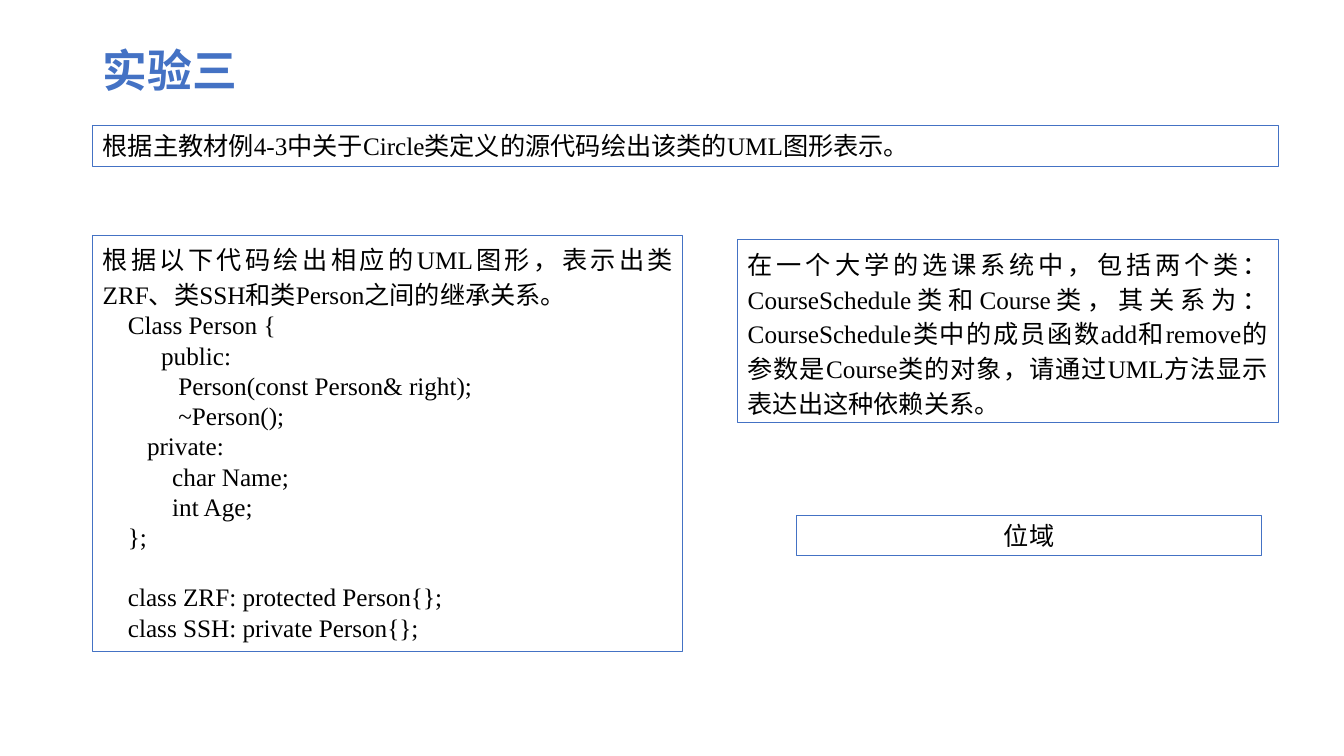
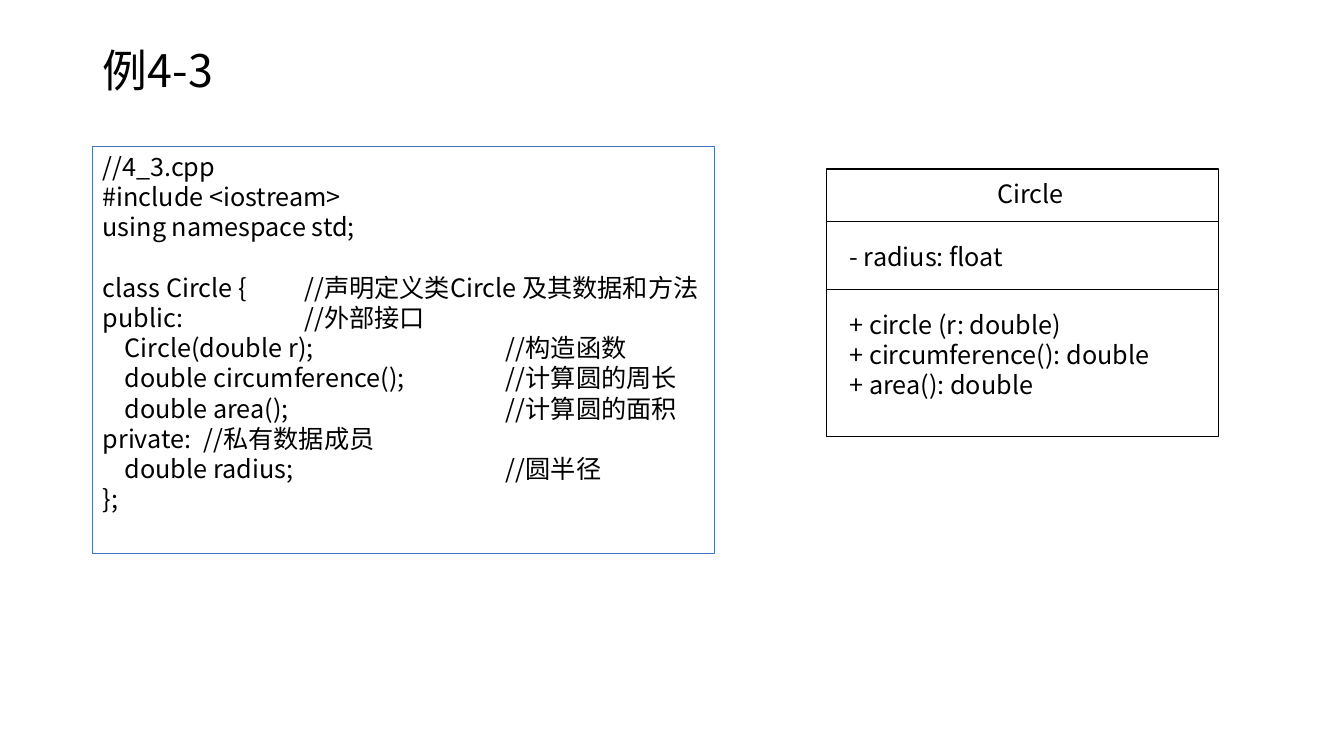
from dataclasses import dataclass

from lxml.etree import SubElement
from pptx import Presentation
from pptx.dml.color import RGBColor
from pptx.enum.shapes import MSO_CONNECTOR as Connector, MSO_SHAPE as Preset
from pptx.enum.text import MSO_ANCHOR as Anchor, MSO_AUTO_SIZE as AutoSize, PP_ALIGN as Align
from pptx.oxml.ns import qn
from pptx.presentation import Presentation as Deck
from pptx.shapes.base import BaseShape
from pptx.slide import Slide
from pptx.text.text import TextFrame
from pptx.util import Inches, Pt


@dataclass(frozen=True)
class Theme:
    accent: RGBColor = RGBColor(0x44, 0x72, 0xC4)
    ink: RGBColor = RGBColor(0, 0, 0)
    sans: str = "Noto Sans CJK SC"
    serif: str = "Times New Roman"
    title_size: int = 32
    body_size: int = 18
    blank_line: float = 21.6
    panel_line: float = 0.75
    frame_line: float = 1
    divider_line: float = 0.5


@dataclass(frozen=True)
class Area:
    """Percentages of the slide's width and height."""
    left: float
    top: float
    width: float
    height: float


@dataclass(frozen=True)
class Line:
    text: str
    indent: float = 0
    tab: float = 1
    spacing: float = 1
    before: float = 0


@dataclass(frozen=True)
class Panel:
    area: Area
    lines: list[Line]
    font: str
    align: Align = Align.LEFT
    outlined: bool = True


THEME = Theme()
WIDTH, HEIGHT = Inches(13.333), Inches(7.5)
MARGIN = 6.9
TITLE_AREA = Area(MARGIN, 0, 86.25, 19.33)
ROW = 5.37


def across(share: float) -> int:
    return round(WIDTH * share / 100)


def down(share: float) -> int:
    return round(HEIGHT * share / 100)


def bounds(area: Area) -> tuple[int, int, int, int]:
    return across(area.left), down(area.top), across(area.width), down(area.height)


def apply(target: object, values: dict[str, object]) -> None:
    for name, value in values.items():
        setattr(target, name, value)


def write_lines(frame: TextFrame, lines: list[Line], align: Align, face: str,
                size: float, color: RGBColor, bold: bool = False) -> None:
    for index, line in enumerate(lines):
        paragraph = frame.add_paragraph() if index else frame.paragraphs[0]
        apply(paragraph, {"alignment": align, "line_spacing": line.spacing,
                          "space_before": Pt(line.before)})
        properties = paragraph._p.get_or_add_pPr()
        lengths = {"marL": 0, "indent": line.indent, "defTabSz": line.tab}
        for name, length in lengths.items():
            properties.set(name, str(Inches(length)))
        run = paragraph.add_run()
        run.text = line.text
        apply(run.font, {"name": face, "size": Pt(size), "bold": bold})
        run.font.color.rgb = color
        SubElement(run._r.get_or_add_rPr(), qn("a:ea"), typeface=THEME.sans)


def add_titled_slide(presentation: Deck, title: str, color: RGBColor, bold: bool) -> Slide:
    slide = presentation.slides.add_slide(presentation.slide_layouts[5])
    placeholder = slide.shapes.title
    apply(placeholder, dict(zip(("left", "top", "width", "height"), bounds(TITLE_AREA))))
    frame = placeholder.text_frame
    apply(frame, {"vertical_anchor": Anchor.MIDDLE, "auto_size": AutoSize.NONE})
    write_lines(frame, [Line(title, spacing=0.9)], Align.LEFT, THEME.sans,
                THEME.title_size, color, bold)
    return slide


def add_outline(slide: Slide, area: Area, color: RGBColor, width: float) -> BaseShape:
    shape = slide.shapes.add_shape(Preset.RECTANGLE, *bounds(area))
    shape.shadow.inherit = False
    shape.fill.background()
    shape.line.color.rgb = color
    shape.line.width = Pt(width)
    return shape


def add_panel(slide: Slide, panel: Panel) -> None:
    if panel.outlined:
        shape = add_outline(slide, panel.area, THEME.accent, THEME.panel_line)
    else:
        shape = slide.shapes.add_textbox(*bounds(panel.area))
    apply(shape.text_frame, {"word_wrap": True, "vertical_anchor": Anchor.TOP,
                             "auto_size": AutoSize.SHAPE_TO_FIT_TEXT})
    write_lines(shape.text_frame, panel.lines, panel.align, panel.font,
                THEME.body_size, THEME.ink)


def add_divider(slide: Slide, area: Area, top: float) -> None:
    divider = slide.shapes.add_connector(
        Connector.STRAIGHT, across(area.left), down(top),
        across(area.left + area.width), down(top))
    divider.line.color.rgb = THEME.ink
    divider.line.width = Pt(THEME.divider_line)
    SubElement(divider._element.spPr, qn("a:effectLst"))


def build_exercises(presentation: Deck) -> None:
    slide = add_titled_slide(presentation, "实验三", THEME.accent, True)
    inheritance = [
        Line("根据以下代码绘出相应的UML图形，表示出类ZRF、类SSH和类Person之间的继承关系。", spacing=1.15),
        Line("Class Person {", 0.25),
        Line("public:", 0.58),
        Line("Person(const Person& right);", 0.75),
        Line("~Person();", 0.75),
        Line("private:", 0.44),
        Line("char Name;", 0.69),
        Line("int Age;", 0.69),
        Line("};", 0.25),
        Line("class ZRF: protected Person{};", 0.25, before=THEME.blank_line),
        Line("class SSH: private Person{};", 0.25),
    ]
    dependency = ("在一个大学的选课系统中，包括两个类：CourseSchedule类和Course类，其关系为："
                  "CourseSchedule类中的成员函数add和remove的参数是Course类的对象，"
                  "请通过UML方法显示表达出这种依赖关系。")
    panels = [
        Panel(Area(MARGIN, 16.6, 88.2, ROW),
              [Line("根据主教材例4-3中关于Circle类定义的源代码绘出该类的UML图形表示。")], THEME.serif),
        Panel(Area(MARGIN, 31.1, 43.9, 55.07), inheritance, THEME.serif, Align.JUSTIFY),
        Panel(Area(54.9, 31.7, 40.2, 24.13), [Line(dependency, spacing=1.15)],
              THEME.serif, Align.JUSTIFY),
        Panel(Area(59.25, 68.13, 34.65, ROW), [Line("位域")], THEME.sans, Align.CENTER),
    ]
    for panel in panels:
        add_panel(slide, panel)


def build_circle_example(presentation: Deck) -> None:
    slide = add_titled_slide(presentation, "例4-3", THEME.ink, False)
    source_code = [
        Line("//4_3.cpp"),
        Line("#include <iostream>"),
        Line("using namespace std;"),
        Line("class Circle {\t//声明定义类Circle 及其数据和方法", tab=2, before=THEME.blank_line),
        Line("public:\t//外部接口", tab=2),
        Line("Circle(double r);\t//构造函数", 0.22, 4),
        Line("double circumference();\t//计算圆的周长", 0.22, 4),
        Line("double area();\t//计算圆的面积", 0.22, 4),
        Line("private:\t//私有数据成员"),
        Line("double radius;\t//圆半径", 0.22, 4),
        Line("};"),
    ]
    operations = [Line("+ circle (r: double)"), Line("+ circumference(): double"),
                  Line("+ area(): double")]
    add_panel(slide, Panel(Area(MARGIN, 19.33, 46.28, 53.87), source_code, THEME.sans))

    class_area = Area(61.5, 22.35, 29.18, 35.38)
    add_outline(slide, class_area, THEME.ink, THEME.frame_line)
    for top in (29.33, 38.27):
        add_divider(slide, class_area, top)
    compartments = [
        (Area(73.46, 22.93, 16.73, ROW), [Line("Circle")]),
        (Area(62.48, 31.27, 16.73, ROW), [Line("- radius: float")]),
        (Area(62.48, 40.23, 24.23, 17.47), operations),
    ]
    for area, lines in compartments:
        add_panel(slide, Panel(area, lines, THEME.sans, outlined=False))


def main() -> None:
    presentation = Presentation()
    apply(presentation, {"slide_width": WIDTH, "slide_height": HEIGHT})
    build_exercises(presentation)
    build_circle_example(presentation)
    presentation.save("out.pptx")


main()
